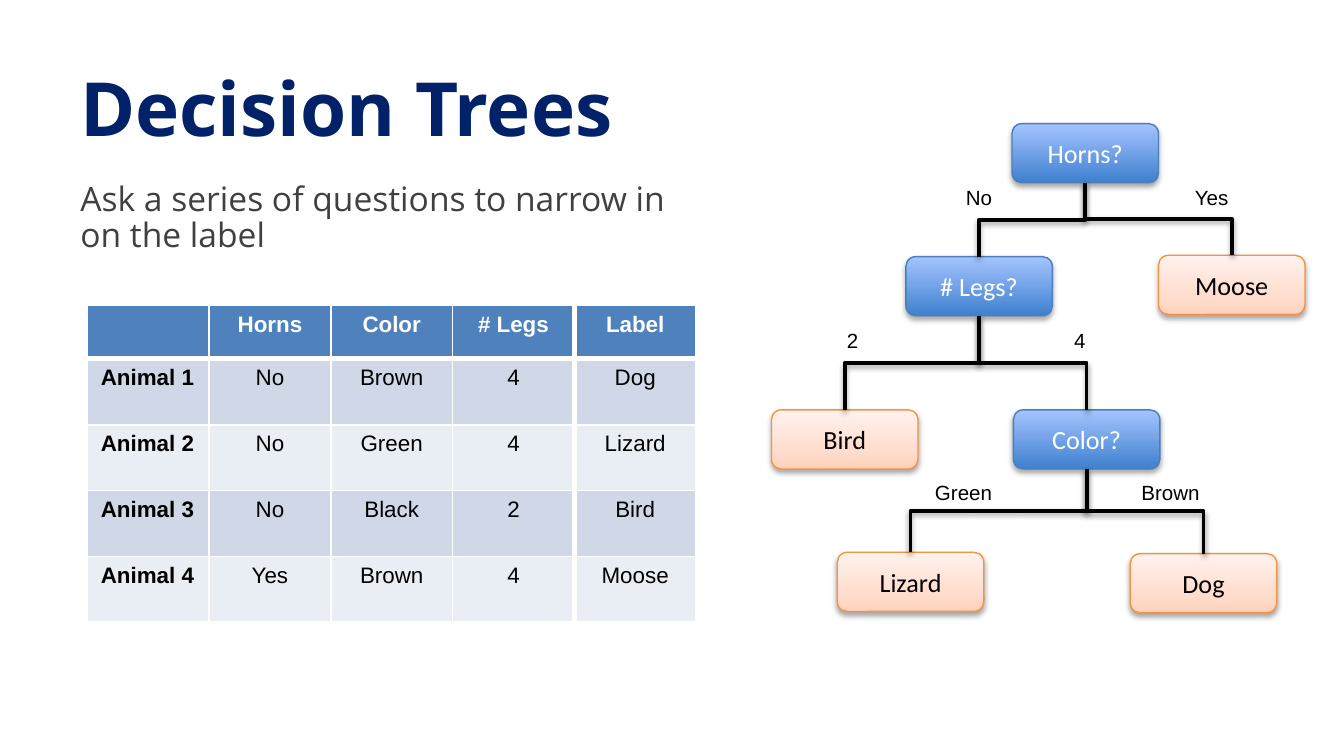
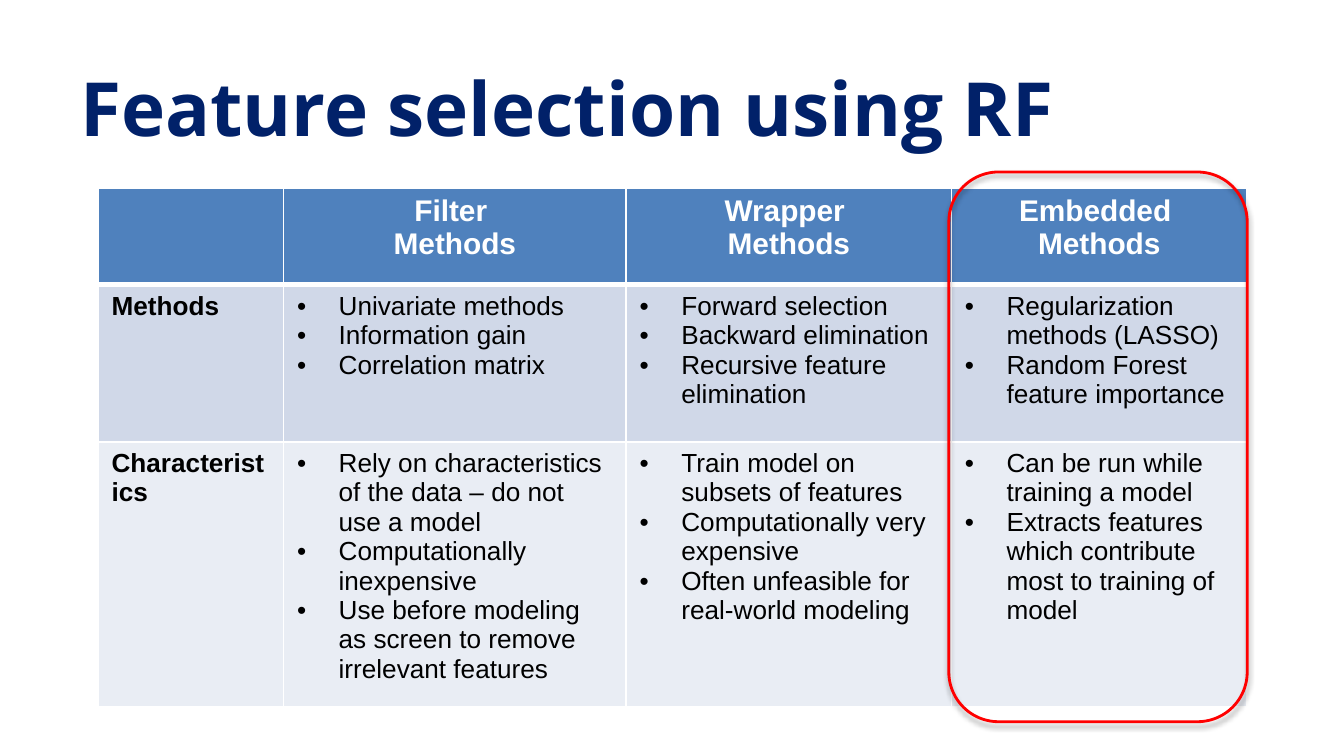
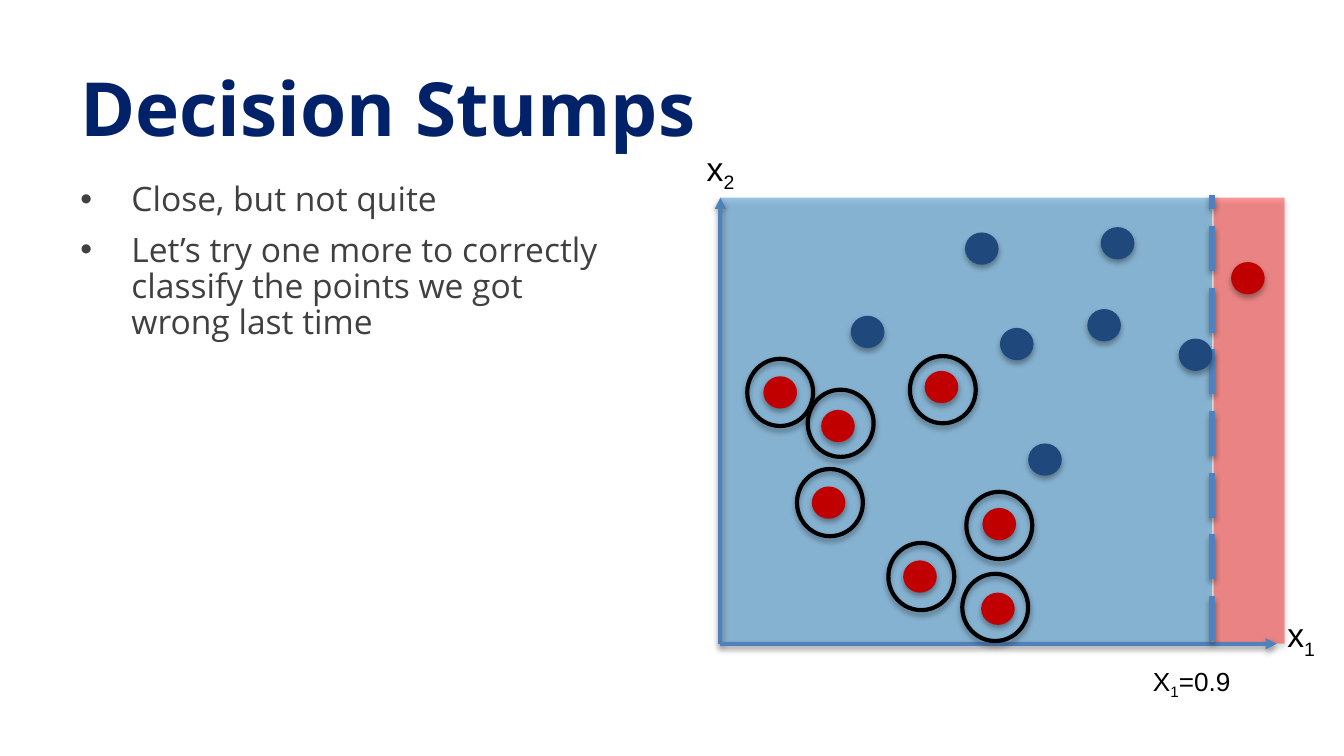
"""Builds three slides on decision trees, feature selection and stumps."""
from lxml.etree import SubElement
from pptx import Presentation
from pptx.dml.color import RGBColor
from pptx.enum.dml import MSO_LINE
from pptx.enum.shapes import MSO_CONNECTOR, MSO_SHAPE
from pptx.enum.text import MSO_ANCHOR, MSO_AUTO_SIZE, PP_ALIGN
from pptx.oxml.ns import qn
from pptx.util import Inches, Pt

HUES = {
    "navy": "012169", "gray": "404040", "black": "000000", "white": "FFFFFF",
    "head": "4F81BD", "odd": "D0D8E8", "even": "E9EDF4", "edge": "4B7EBC",
    "rust": "F69240", "red": "FF0000", "sky": "0070C0", "blood": "C00000",
    "ink": "1F497D",
}
BLENDS = {
    "ask": [(0, "3F80CE"), (100, "A4C4FF")],
    "leaf": [(0, "FFD2BD"), (35, "FFDED0"), (100, "FFF2ED")],
}
STEP = Inches(0.1)


def hue(name):
    return RGBColor.from_string(HUES[name])


def span(*cells):
    return [round(n * STEP) for n in cells]


def add(parent, tag, **marks):
    return SubElement(parent, qn(tag), {k: str(v) for k, v in marks.items()})


def write(frame, text, font="Arial", size=12, color="black", bold=False,
          center=False, middle=False, indent=0, before=0, after=0, lead=None):
    frame.word_wrap = True
    frame.vertical_anchor = MSO_ANCHOR.MIDDLE if middle else MSO_ANCHOR.TOP
    lines = [text] if isinstance(text, str) else text
    for i, line in enumerate(lines):
        para = frame.add_paragraph() if i else frame.paragraphs[0]
        if indent:
            props = para._p.get_or_add_pPr()
            room = span(indent)[0]
            props.set("marL", str(room))
            props.set("indent", str(-room))
            add(props, "a:buFont", typeface="Arial")
            add(props, "a:buChar", char="•")
        para.alignment = PP_ALIGN.CENTER if center else PP_ALIGN.LEFT
        if i and before:
            para.space_before = Pt(before)
        if after:
            para.space_after = Pt(after)
        if lead:
            para.line_spacing = lead
        for j, part in enumerate(line.split("~")):
            run = para.add_run()
            run.text = part
            run.font.name, run.font.size = font, Pt(size)
            run.font.bold, run.font.color.rgb = bold, hue(color)
            if j % 2:
                run._r.get_or_add_rPr().set("baseline", "-25000")


class Deck:
    def __init__(self):
        self.show = Presentation()
        self.show.slide_width, self.show.slide_height = span(100, 56.25)

    def start(self, title):
        blank = self.show.slide_layouts[6]
        self.shapes = self.show.slides.add_slide(blank).shapes
        self.text((5, 4.2, 90, 7.4), title, font="Open Sans", size=40,
                  color="navy", bold=True, middle=True)

    def text(self, box, text, grow=False, **style):
        frame = self.shapes.add_textbox(*span(*box)).text_frame
        write(frame, text, **style)
        if grow:
            frame.auto_size = MSO_AUTO_SIZE.SHAPE_TO_FIT_TEXT

    def body(self, box, text, **style):
        self.text(box, text, font="Open Sans", size=18, color="gray",
                  lead=0.9, **style)

    def shade(self, item, far=1.8, dark=35):
        effects = add(item.element.spPr, "a:effectLst")
        cast = add(effects, "a:outerShdw", blurRad=Pt(3.1), dist=Pt(far),
                   dir=5400000, rotWithShape=0)
        tint = add(cast, "a:srgbClr", val=HUES["black"])
        add(tint, "a:alpha", val=dark * 1000)

    def shape(self, kind, box, fill=None, line=None, width=0.75, alpha=None):
        item = self.shapes.add_shape(kind, *span(*box))
        if fill in BLENDS:
            item.fill.gradient()
            item.fill.gradient_angle = 90
            stops = item.element.spPr.find(".//" + qn("a:gsLst"))
            for stop in list(stops):
                stops.remove(stop)
            for place, tint in BLENDS[fill]:
                stop = add(stops, "a:gs", pos=place * 1000)
                add(stop, "a:srgbClr", val=tint)
        elif fill:
            item.fill.solid()
            item.fill.fore_color.rgb = hue(fill)
            if alpha:
                tint = item.element.spPr.find(".//" + qn("a:srgbClr"))
                add(tint, "a:alpha", val=alpha * 1000)
        else:
            item.fill.background()
        if line:
            item.line.color.rgb = hue(line)
            item.line.width = Pt(width)
        else:
            item.line.fill.background()
        self.shade(item)
        return item

    def node(self, spot, text, leaf=False):
        fill, line, color = (("leaf", "rust", "black") if leaf
                             else ("ask", "edge", "white"))
        item = self.shape(MSO_SHAPE.ROUNDED_RECTANGLE, (*spot, 10.9, 4.4),
                          fill, line)
        write(item.text_frame, text, font="Calibri", size=14, color=color,
              center=True, middle=True)
        return item

    def stroke(self, item, color, width):
        item.line.color.rgb = hue(color)
        item.line.width = Pt(width)

    def branch(self, top, low):
        item = self.shapes.add_connector(MSO_CONNECTOR.ELBOW, 0, 0, 0, 0)
        item.begin_connect(top, 2)
        item.end_connect(low, 0)
        x1, x2 = (n.left + n.width // 2 for n in (top, low))
        y1, y2 = top.top + top.height, low.top
        wide, tall = y2 - y1, abs(x2 - x1)
        item.left, item.top = (x1 + x2 - wide) // 2, (y1 + y2 - tall) // 2
        item.width, item.height = wide, tall
        frame = item.element.spPr.find(qn("a:xfrm"))
        right = x2 > x1
        frame.set("rot", "16200000" if right else "5400000")
        frame.set("flipH", "1" if right else "0")
        frame.set("flipV", "0")
        self.stroke(item, "black", 2)
        self.shade(item, 1.6, 38)

    def line(self, start, end, width=2, arrow=False, dash=None):
        item = self.shapes.add_connector(MSO_CONNECTOR.STRAIGHT,
                                         *span(*start, *end))
        self.stroke(item, "head", width)
        if dash:
            item.line.dash_style = dash
        if arrow:
            add(item.element.spPr.find(qn("a:ln")), "a:tailEnd",
                type="triangle")
        self.shade(item, 1.6, 38)

    def table(self, spot, cols, rows, cells, sizes, indent=0, split=None):
        box = span(*spot, sum(cols), sum(rows))
        table = self.shapes.add_table(len(rows), len(cols), *box).table
        for col, wide in zip(table.columns, span(*cols)):
            col.width = wide
        for row, tall in zip(table.rows, span(*rows)):
            row.height = tall
        for r, texts in enumerate(cells):
            head = r == 0
            for c, text in enumerate(texts):
                cell = table.cell(r, c)
                thick = {"L": c == split, "R": c + 1 == split,
                         "T": r == 1, "B": head}
                for side, heavy in thick.items():
                    edge = add(cell._tc.get_or_add_tcPr(), "a:ln" + side,
                               w=Pt(3 if heavy else 1))
                    add(add(edge, "a:solidFill"), "a:srgbClr",
                        val=HUES["white"])
                cell.fill.solid()
                cell.fill.fore_color.rgb = hue(
                    "head" if head else "odd" if r % 2 else "even")
                if text:
                    write(cell.text_frame, text, size=sizes[not head],
                          color="white" if head else "black",
                          bold=head or c == 0,
                          center=head or (c > 0 and not indent),
                          indent=indent if r and c else 0)


def trees(deck):
    deck.start("Decision Trees")
    deck.body((5, 13.1, 46.6, 34.8),
              "Ask a series of questions to narrow in on the label")
    deck.table((6.5, 22.7), [9.06] * 5, [4] + [4.9] * 4, [
        ["", "Horns", "Color", "# Legs", "Label"],
        ["Animal 1", "No", "Brown", "4", "Dog"],
        ["Animal 2", "No", "Green", "4", "Lizard"],
        ["Animal 3", "No", "Black", "2", "Bird"],
        ["Animal 4", "Yes", "Brown", "4", "Moose"],
    ], (12, 12), split=4)
    horns = deck.node((75.3, 9.2), "Horns?")
    legs = deck.node((67.4, 19.1), "# Legs?")
    color = deck.node((75.4, 30.5), "Color?")
    moose = deck.node((86.2, 19), "Moose", leaf=True)
    bird = deck.node((57.4, 30.5), "Bird", leaf=True)
    lizard = deck.node((62.3, 41.1), "Lizard", leaf=True)
    dog = deck.node((84.1, 41.2), "Dog", leaf=True)
    for top, low in [(horns, moose), (horns, legs), (legs, bird),
                     (legs, color), (color, lizard), (color, dog)]:
        deck.branch(top, low)
    for x, y, wide, text in [
            (87.5, 13.3, 5.3, "Yes"), (70.2, 13.3, 5.3, "No"),
            (60.8, 23.9, 5.3, "2"), (77.7, 23.9, 5.3, "4"),
            (67.7, 35.2, 8, "Green"), (83.1, 35.2, 8, "Brown")]:
        deck.text((x, y, wide, 2.9), text, grow=True, size=11, center=True)


def methods(deck):
    deck.start("Feature selection using RF")
    deck.table((7.3, 14), [13.8, 25.5, 24.2, 22], [7.2, 11.7, 13.3], [
        ["", ["Filter ", "Methods"], ["Wrapper ", "Methods"],
         ["Embedded ", "Methods"]],
        ["Methods",
         ["Univariate methods", "Information gain", "Correlation matrix"],
         ["Forward selection", "Backward elimination",
          "Recursive feature elimination"],
         ["Regularization methods (LASSO)",
          "Random Forest feature importance"]],
        ["Characteristics",
         ["Rely on characteristics of the data – do not use a model",
          "Computationally inexpensive",
          "Use before modeling as screen to remove irrelevant features"],
         ["Train model on subsets of features",
          "Computationally very expensive",
          "Often unfeasible for real-world modeling"],
         ["Can be run while training a model",
          "Extracts features which contribute most to training of model"]],
    ], (16, 14), indent=3.1)
    deck.shape(MSO_SHAPE.ROUNDED_RECTANGLE, (70.6, 12.8, 22.2, 40.9),
               line="red", width=1.5)


def stumps(deck):
    left, top, base, cut = 53.6, 14.7, 47.9, 90.2
    deck.start("Decision Stumps")
    for x, wide, fill, alpha in [(90.3, 5.3, "red", 40),
                                 (left, cut - left, "sky", 39)]:
        deck.shape(MSO_SHAPE.RECTANGLE, (x, top, wide, base - top), fill,
                   alpha=alpha)
    deck.body((5, 13.1, 41.7, 34.8), [
        "Close, but not quite",
        "Let’s try one more to correctly classify the points we got wrong "
        "last time",
    ], indent=3.8, before=3.6, after=4)
    deck.line((left, base), (left, top), arrow=True)
    deck.line((left, base), (95, base), arrow=True)
    deck.line((cut, 47.7), (cut, 14.5), width=3, dash=MSO_LINE.LONG_DASH)
    dots = {
        "blood": [(61.1, 30.5), (60.4, 36.2), (73.1, 37.8), (68.8, 27.6),
                  (56.8, 28), (67.2, 41.7), (73, 44.1), (91.6, 19.5)],
        "ink": [(63.3, 23.5), (76.5, 33), (74.4, 24.4), (80.9, 23),
                (81.9, 16.9), (71.8, 17.3), (87.7, 25.2)],
    }
    for fill, spots in dots.items():
        for spot in spots:
            deck.shape(MSO_SHAPE.OVAL, (*spot, 2.5, 2.4), fill)
    for spot in [(55.6, 26.7), (71.9, 36.6), (71.6, 42.7), (60.1, 29),
                 (67.7, 26.5), (59.3, 34.9), (66.1, 40.4)]:
        deck.shape(MSO_SHAPE.OVAL, (*spot, 4.9, 5), line="black", width=2.25)
    for box, text, size in [((94.8, 45.2, 5.2, 4), "x~1", 18),
                            ((51.6, 10.5, 5.2, 4), "x~2", 18),
                            ((84.8, 49, 11.1, 3.4), "X~1~=0.9", 14)]:
        deck.text(box, text, grow=True, size=size)


def main():
    deck = Deck()
    for build in (trees, methods, stumps):
        build(deck)
    deck.show.save("out.pptx")


if __name__ == "__main__":
    main()
